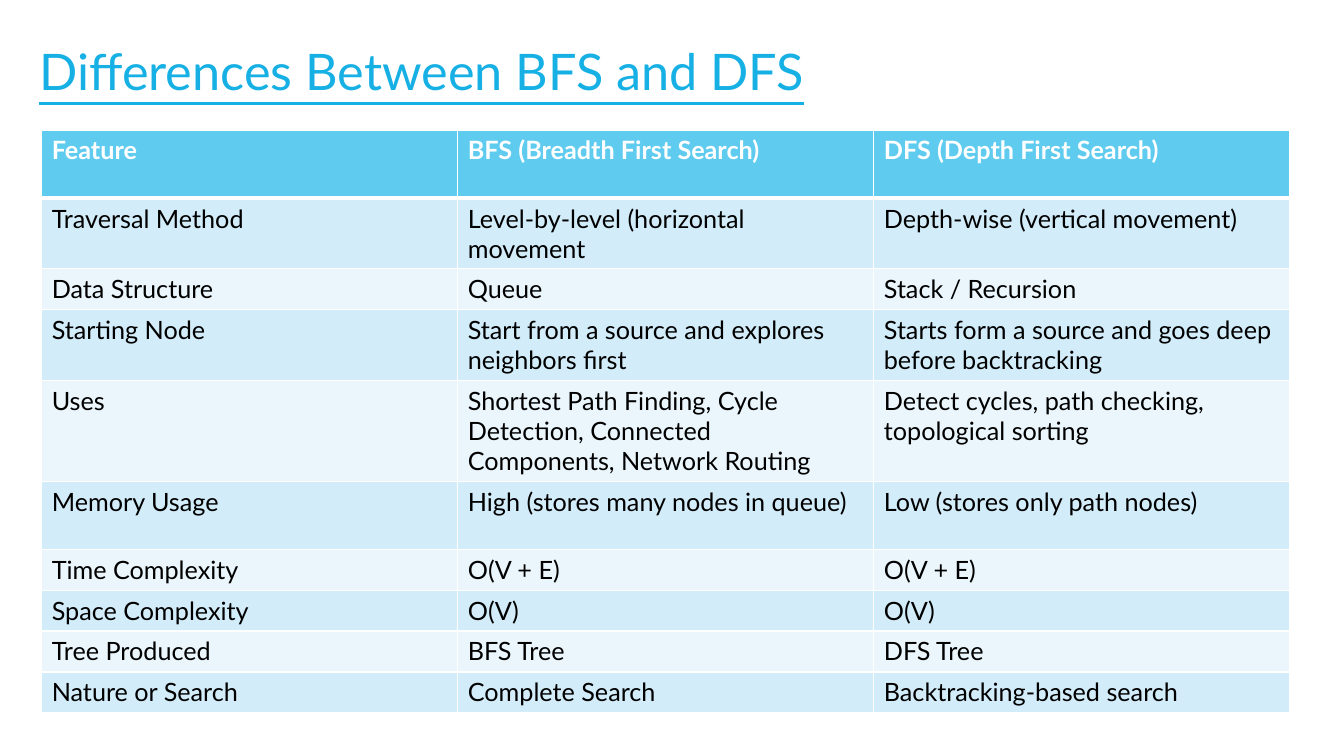
import pptx
import pptx.util
import pptx.dml.color
import pptx.enum.text
import lxml.etree

Pt = pptx.util.Pt
FONT = "Lato"
COLORS = {
    "title": "17B0E4",
    "header": "5FCBEF",
    "band_dark": "D2ECF9",
    "band_light": "EAF6FC",
    "white": "FFFFFF",
    "black": "000000",
}
A = "{http://schemas.openxmlformats.org/drawingml/2006/main}"

TITLE = "Differences Between BFS and DFS"
ROWS = [
    ("Feature", "BFS (Breadth First Search)", "DFS (Depth First Search)"),
    ("Traversal Method", "Level-by-level (horizontal movement",
     "Depth-wise (vertical movement)"),
    ("Data Structure", "Queue", "Stack / Recursion"),
    ("Starting Node", "Start from a source and explores neighbors first",
     "Starts form a source and goes deep before backtracking"),
    ("Uses",
     "Shortest Path Finding, Cycle Detection, Connected Components, Network Routing",
     "Detect cycles, path checking, topological sorting"),
    ("Memory Usage", "High (stores many nodes in queue)",
     "Low (stores only path nodes)"),
    ("Time Complexity", "O(V + E)", "O(V + E)"),
    ("Space Complexity", "O(V)", "O(V)"),
    ("Tree Produced", "BFS Tree", "DFS Tree"),
    ("Nature or Search", "Complete Search", "Backtracking-based search"),
]
SHORT, TALL = 29.2, 48.7
TALL_ROWS = {0, 1, 3, 4, 5}
COL_WIDTH = 297.2


def rgb(name):
    return pptx.dml.color.RGBColor.from_string(COLORS[name])


def style_run(r, size, color, bold=False, underline=False):
    r.font.name = FONT
    r.font.size = Pt(size)
    r.font.bold = bold
    r.font.underline = underline
    r.font.color.rgb = rgb(color)


def add_title(s, text):
    sp = s.shapes.title
    sp.left, sp.top, sp.width, sp.height = Pt(21), Pt(25.2), Pt(900.7), Pt(94.3)
    tf = sp.text_frame
    tf.text = text
    tf.word_wrap = True
    tf.auto_size = pptx.enum.text.MSO_AUTO_SIZE.NONE
    tf.vertical_anchor = pptx.enum.text.MSO_ANCHOR.TOP
    p = tf.paragraphs[0]
    p.alignment = pptx.enum.text.PP_ALIGN.LEFT
    style_run(p.runs[0], 36, "title", underline=True)


def set_borders(cell, widths):
    tcPr = cell._tc.get_or_add_tcPr()
    for side, width in widths.items():
        ln = lxml.etree.SubElement(tcPr, A + "ln" + side, w=str(Pt(width)))
        fill = lxml.etree.SubElement(ln, A + "solidFill")
        lxml.etree.SubElement(fill, A + "srgbClr", val=COLORS["white"])


def fill_cell(cell, text, row):
    header = row == 0
    # The rule under the header is thicker than the other borders
    set_borders(cell, {"L": 1, "R": 1, "T": 3 if row == 1 else 1,
                       "B": 3 if header else 1})
    band = "header" if header else "band_dark" if row % 2 else "band_light"
    cell.fill.solid()
    cell.fill.fore_color.rgb = rgb(band)
    cell.text_frame.text = text
    style_run(cell.text_frame.paragraphs[0].runs[0], 18,
              "white" if header else "black", bold=header)


def add_table(s, rows):
    heights = [TALL if i in TALL_ROWS else SHORT for i in range(len(rows))]
    cols = len(rows[0])
    table = s.shapes.add_table(len(rows), cols, Pt(29.8), Pt(92.9),
                               Pt(COL_WIDTH * cols), Pt(sum(heights))).table
    for col in table.columns:
        col.width = Pt(COL_WIDTH)
    for i, texts in enumerate(rows):
        table.rows[i].height = Pt(heights[i])
        for j, text in enumerate(texts):
            fill_cell(table.cell(i, j), text, i)


def main():
    prs = pptx.Presentation()
    prs.slide_width, prs.slide_height = Pt(960), Pt(540)
    s = prs.slides.add_slide(prs.slide_layouts[5])  # title only

    # Heading
    add_title(s, TITLE)

    # Comparison table
    add_table(s, ROWS)

    prs.save("out.pptx")


if __name__ == "__main__":
    main()
